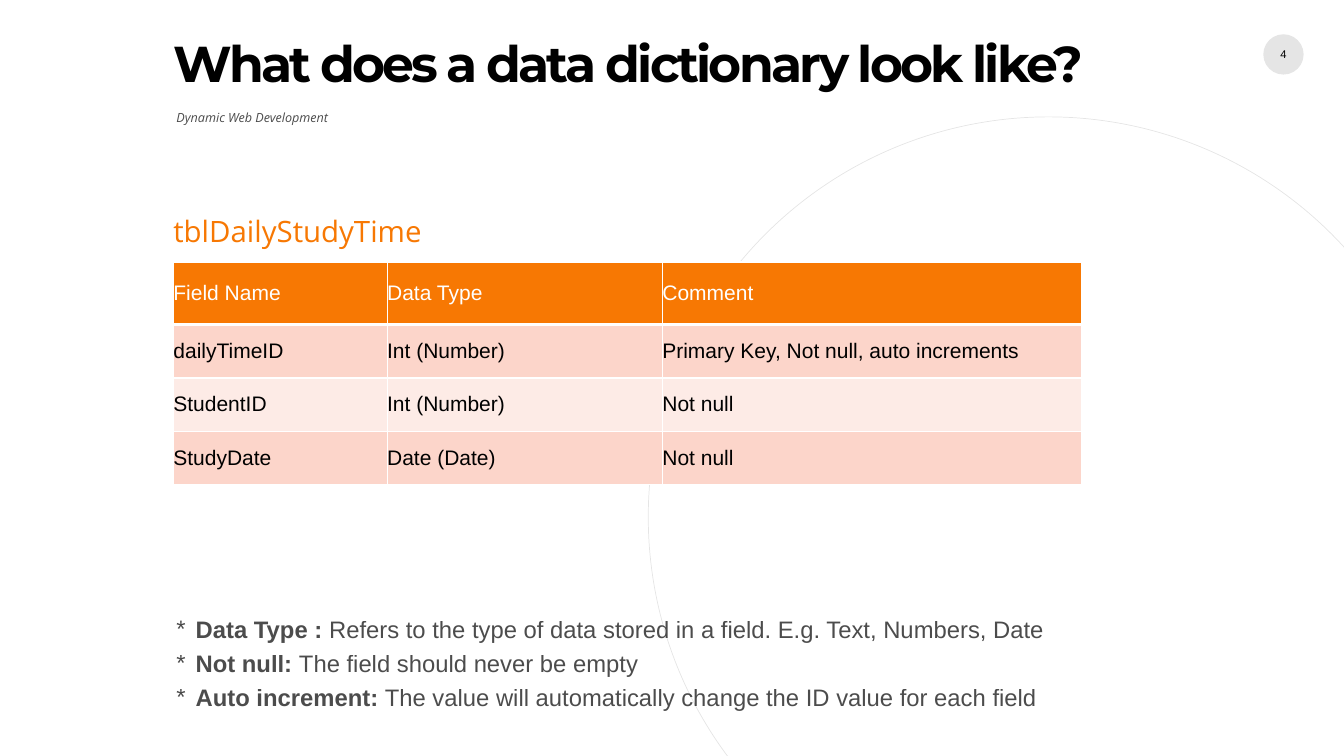
import dataclasses

import lxml.etree
import pptx
import pptx.dml.color
import pptx.enum.shapes
import pptx.enum.text
import pptx.oxml.ns
import pptx.util

PX = 9144
ANCHOR = pptx.enum.text.MSO_ANCHOR
ALIGN = pptx.enum.text.PP_ALIGN
FIT = pptx.enum.text.MSO_AUTO_SIZE


@dataclasses.dataclass(frozen=True)
class Theme:
    ink: str = "000000"
    paper: str = "FFFFFF"
    accent: str = "F77803"
    bands: tuple = ("FCD5CA", "FDEBE6")
    soft: int = 70
    faint: int = 10
    title_font: str = "Montserrat"
    label_font: str = "Open Sans"
    body_font: str = "Arial"
    title_size: int = 36
    caption_size: int = 21
    list_size: int = 17
    cell_size: int = 15
    subtitle_size: int = 9
    number_size: int = 8


THEME = Theme()

FIELDS = [
    ("Field Name", "Data Type", "Comment"),
    ("dailyTimeID", "Int (Number)", "Primary Key, Not null, auto increments"),
    ("StudentID", "Int (Number)", "Not null"),
    ("StudyDate", "Date (Date)", "Not null"),
]

TERMS = [
    ("Data Type : ", "Refers to the type of data stored in a field. E.g. Text, Numbers, Date"),
    ("Not null: ", "The field should never be empty"),
    ("Auto increment:", " The value will automatically change the ID value for each field"),
]


def rgb(colour):
    return pptx.dml.color.RGBColor.from_string(colour)


def emu(box):
    return [length * PX for length in box]


def add_element(parent, tag, **attributes):
    return lxml.etree.SubElement(parent, pptx.oxml.ns.qn(tag), attributes)


def fade(element, percent):
    for colour in element.iter(pptx.oxml.ns.qn("a:srgbClr")):
        add_element(colour, "a:alpha", val=str(percent * 1000))


def add_run(para, text, font, size, colour, bold=False, italic=False, opacity=100):
    span = para.add_run()
    span.text = text
    span.font.name = font
    span.font.size = pptx.util.Pt(size)
    span.font.bold = bold
    span.font.italic = italic
    span.font.color.rgb = rgb(colour)
    if opacity < 100:
        fade(span._r, opacity)
    return span


def prepare_frame(shape, wrap=True, fit=FIT.NONE, anchor=ANCHOR.TOP):
    frame = shape.text_frame
    frame.margin_left = frame.margin_top = frame.margin_right = frame.margin_bottom = 0
    frame.word_wrap = wrap
    frame.auto_size = fit
    frame.vertical_anchor = anchor
    return frame


def move(shape, box):
    shape.left, shape.top, shape.width, shape.height = emu(box)


def format_paragraph(para, indent=0, bullet=None, spacing=1.0):
    properties = para._p.get_or_add_pPr()
    properties.set("marL", str(indent * PX))
    properties.set("indent", str(-indent * PX))
    if bullet:
        add_element(properties, "a:buChar", char=bullet)
    else:
        add_element(properties, "a:buNone")
    para.alignment = ALIGN.LEFT
    para.space_before = pptx.util.Pt(0)
    para.line_spacing = spacing


def add_circle(page, box, layer):
    circle = page.shapes.add_shape(pptx.enum.shapes.MSO_SHAPE.OVAL, *emu(box))
    circle.shadow.inherit = False
    page.shapes.element.insert(2 + layer, circle.element)
    return circle


def add_backdrop(page, box):
    ring = add_circle(page, box, 0)
    ring.fill.background()
    ring.line.color.rgb = rgb(THEME.ink)
    ring.line.width = pptx.util.Pt(0.5)
    fade(ring.element, THEME.faint)


def add_page_number(page, box, number):
    left, top, width, height = box
    badge = add_circle(page, box, 1)
    badge.fill.solid()
    badge.fill.fore_color.rgb = rgb(THEME.ink)
    badge.line.fill.background()
    fade(badge.element, THEME.faint)
    label = page.shapes.add_textbox(*emu((left + 13, top + 13, width - 26, height - 26)))
    frame = prepare_frame(label, False, FIT.SHAPE_TO_FIT_TEXT, ANCHOR.MIDDLE)
    para = frame.paragraphs[0]
    para.alignment = ALIGN.CENTER
    add_run(para, number, THEME.body_font, THEME.number_size, THEME.ink)


def add_heading(page, box, title, subtitle):
    left, top, width, height = box
    heading = page.shapes.title
    move(heading, box)
    para = prepare_frame(heading).paragraphs[0]
    format_paragraph(para, spacing=0.75)
    span = add_run(para, title, THEME.title_font, THEME.title_size, THEME.ink, bold=True)
    span._r.get_or_add_rPr().set("spc", "-200")

    note = page.placeholders[1]
    move(note, (left + 3, top + 63, 329, 100))
    para = prepare_frame(note).paragraphs[0]
    format_paragraph(para)
    add_run(para, subtitle, THEME.label_font, THEME.subtitle_size, THEME.ink,
            italic=True, opacity=THEME.soft)


def add_border(cell, side, points):
    properties = cell._tc.get_or_add_tcPr()
    line = add_element(properties, f"a:ln{side}", w=str(pptx.util.Pt(points)))
    fill = add_element(line, "a:solidFill")
    add_element(fill, "a:srgbClr", val=THEME.paper)


def fill_cell(cell, text, row):
    header = row == 0
    cell.margin_left = cell.margin_top = cell.margin_right = cell.margin_bottom = 0
    cell.vertical_anchor = ANCHOR.MIDDLE
    widths = {"L": 1, "R": 1, "T": 3 if row == 1 else 1, "B": 3 if header else 1}
    for side, points in widths.items():
        add_border(cell, side, points)
    cell.fill.solid()
    cell.fill.fore_color.rgb = rgb(THEME.accent if header else THEME.bands[(row - 1) % 2])
    add_run(cell.text_frame.paragraphs[0], text, THEME.body_font, THEME.cell_size,
            THEME.paper if header else THEME.ink)


def add_dictionary(page, box, caption, records):
    left, top, width, height = box
    label = page.shapes.add_textbox(*emu((left, top, 270, 39)))
    frame = prepare_frame(label, False, FIT.SHAPE_TO_FIT_TEXT)
    add_run(frame.paragraphs[0], caption, THEME.label_font, THEME.caption_size, THEME.accent)

    grid_box = emu((left, top + 49, width, height - 49))
    grid = page.shapes.add_table(len(records), len(records[0]), *grid_box).table
    grid.horz_banding = False
    for column, column_width in zip(grid.columns, (212, 273, width - 485)):
        column.width = column_width * PX
    for row, record in enumerate(records):
        grid.rows[row].height = (62 if row == 0 else 53) * PX
        for column, text in enumerate(record):
            fill_cell(grid.cell(row, column), text, row)


def add_terms(page, box, terms):
    body = page.placeholders[2]
    move(body, box)
    frame = prepare_frame(body, fit=FIT.SHAPE_TO_FIT_TEXT)
    for index, parts in enumerate(terms):
        para = frame.add_paragraph() if index else frame.paragraphs[0]
        format_paragraph(para, indent=19, bullet="*", spacing=1.2)
        for text, bold in zip(parts, (True, False)):
            add_run(para, text, THEME.body_font, THEME.list_size, THEME.ink,
                    bold=bold, opacity=THEME.soft)


def main():
    deck = pptx.Presentation()
    deck.slide_width, deck.slide_height = emu((1333, 750))
    page = deck.slides.add_slide(deck.slide_layouts[3])
    add_backdrop(page, (643, 116, 794, 794))
    add_page_number(page, (1253, 34, 40, 40), "4")
    add_heading(page, (172, 46, 990, 81),
                "What does a data dictionary look like?", "Dynamic Web Development")
    add_dictionary(page, (172, 211, 901, 270), "tblDailyStudyTime", FIELDS)
    add_terms(page, (175, 604, 1003, 94), TERMS)
    deck.save("out.pptx")


if __name__ == "__main__":
    main()
